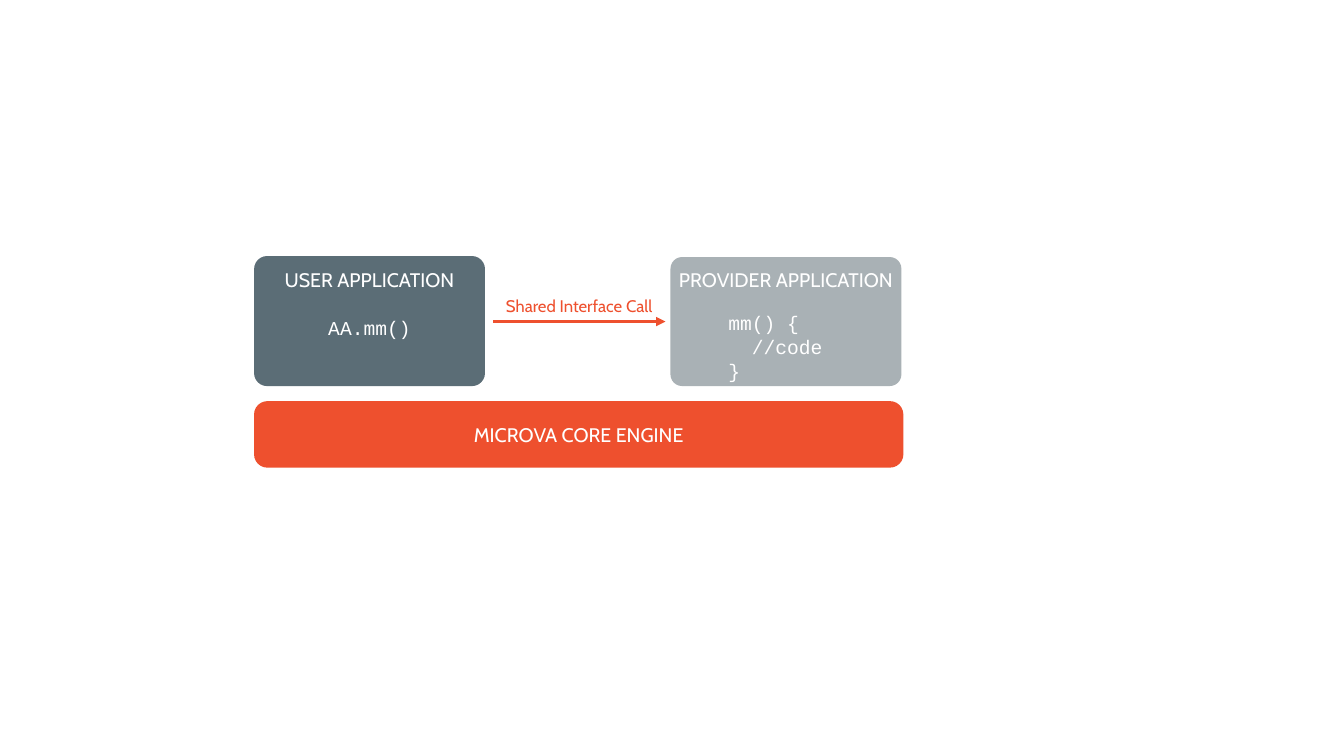
from lxml import etree
from pptx import Presentation
from pptx.dml.color import RGBColor
from pptx.enum.shapes import MSO_CONNECTOR, MSO_SHAPE
from pptx.enum.text import MSO_ANCHOR, PP_ALIGN
from pptx.oxml.ns import qn
from pptx.util import Inches, Pt

SLATE = RGBColor(0x5B, 0x6D, 0x76)
GREY = RGBColor(0xA9, 0xB1, 0xB5)
ORANGE = RGBColor(0xEE, 0x50, 0x2E)
WHITE = RGBColor(0xFF, 0xFF, 0xFF)
SANS, MONO = "Cabin", "Courier New"
ROUND, LINE = MSO_SHAPE.ROUNDED_RECTANGLE, MSO_CONNECTOR.STRAIGHT
TOP, MIDDLE = MSO_ANCHOR.TOP, MSO_ANCHOR.MIDDLE
LEFT, CENTER = PP_ALIGN.LEFT, PP_ALIGN.CENTER


def style(para, text, face=SANS, size=14, color=WHITE, align=CENTER):
    """Fill a paragraph and set its font and alignment."""
    para.text = text
    para.alignment = align
    para.font.name = face
    para.font.size = Pt(size)
    para.font.color.rgb = color


def panel(slide, box, color, radius, title, anchor=MIDDLE):
    """Draw a rounded panel with its title and return its text frame."""
    shape = slide.shapes.add_shape(ROUND, *map(Inches, box))
    shape.adjustments[0] = radius
    shape.shadow.inherit = False
    shape.fill.solid()
    shape.fill.fore_color.rgb = color
    shape.line.fill.background()
    frame = shape.text_frame
    frame.word_wrap = True
    frame.vertical_anchor = anchor
    frame.margin_left = frame.margin_right = Inches(0.04)
    frame.margin_top = frame.margin_bottom = Inches(0.04)
    style(frame.paragraphs[0], title)
    return frame


def app(slide, box, color, radius, title, code, gap, align=CENTER):
    """Draw an application panel with code lines under its title."""
    frame = panel(slide, box, color, radius, title, TOP)
    frame.margin_top = Inches(2.62 - box[1])
    for row, text in enumerate(code):
        para = frame.add_paragraph()
        style(para, text, MONO, align=align)
        para.level = 1 if align == LEFT else 0
        para.line_spacing = Pt(17)
        para.space_before = Pt(0 if row else gap)


def call(slide, box, text):
    """Draw an arrow along the bottom of the box with a label above it."""
    left, top, width, height = box
    end = Inches(top + height)
    arrow = slide.shapes.add_connector(
        LINE, Inches(left), end, Inches(left + width), end)
    arrow.line.color.rgb = ORANGE
    arrow.line.width = Pt(2.25)
    etree.SubElement(arrow.line._get_or_add_ln(), qn("a:tailEnd"),
                     type="triangle")
    etree.SubElement(arrow._element.spPr, qn("a:effectLst"))
    label = slide.shapes.add_textbox(
        Inches(left - 0.2), Inches(top), Inches(width + 0.4), Inches(height))
    frame = label.text_frame
    frame.word_wrap = True
    para = frame.paragraphs[0]
    style(para, text, size=12, color=ORANGE)
    para.line_spacing = Pt(12)


def main():
    """Build the slide and save it."""
    deck = Presentation()
    deck.slide_width, deck.slide_height = Inches(13.33), Inches(7.5)
    slide = deck.slides.add_slide(deck.slide_layouts[6])
    app(slide, (2.52, 2.54, 2.29, 1.29), SLATE, 0.1,
        "USER APPLICATION", ["AA.mm()"], 17)
    app(slide, (6.65, 2.55, 2.29, 1.28), GREY, 0.09,
        "PROVIDER APPLICATION", ["mm() {", "  //code", "}"], 14, LEFT)
    call(slide, (4.89, 2.92, 1.71, 0.27), "Shared Interface Call")
    panel(slide, (2.52, 3.98, 6.44, 0.66), ORANGE, 0.2,
          "MICROVA CORE ENGINE")
    deck.save("out.pptx")


if __name__ == "__main__":
    main()
